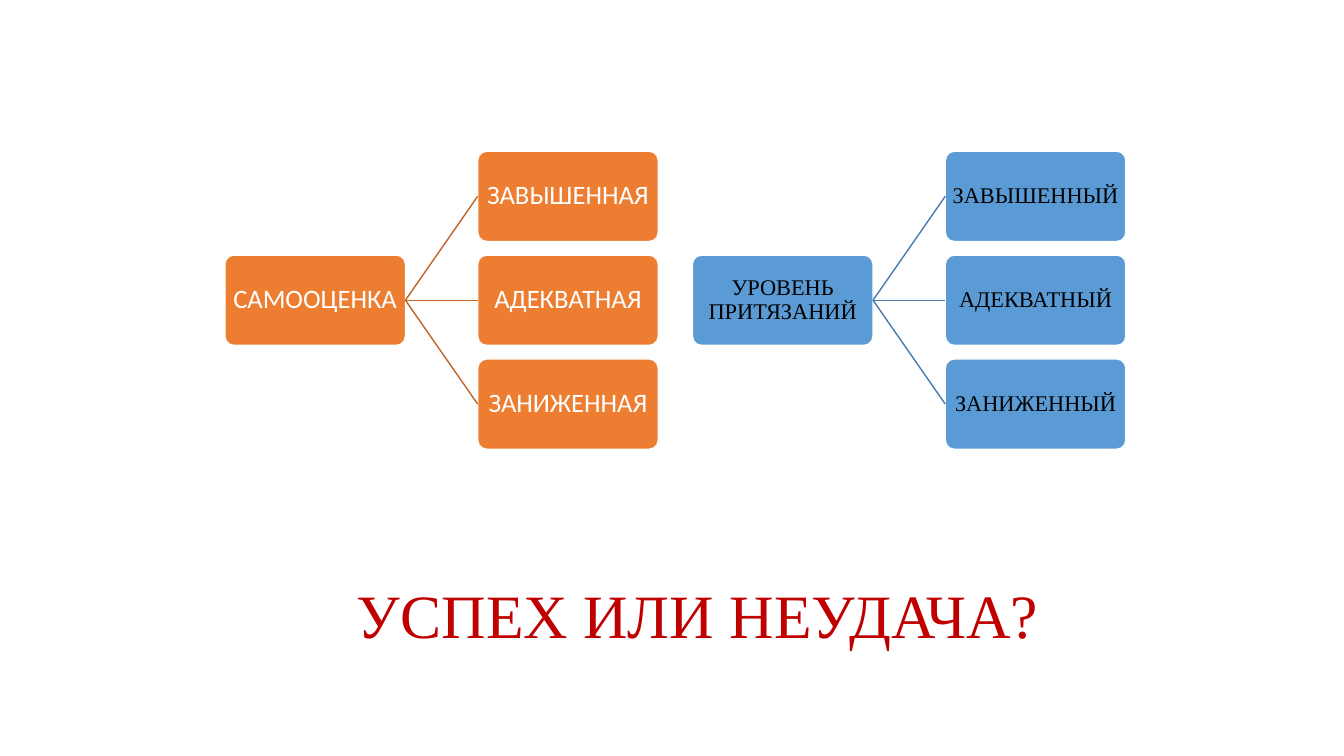
import pptx
import pptx.dml.color
import pptx.enum.shapes
import pptx.enum.text
import pptx.oxml.ns
import pptx.util

Pt = pptx.util.Pt
RGBColor = pptx.dml.color.RGBColor

WHITE = RGBColor(0xFF, 0xFF, 0xFF)
BLACK = RGBColor(0x00, 0x00, 0x00)
RED = RGBColor(0xC0, 0x00, 0x00)
ORANGE = RGBColor(0xED, 0x7D, 0x31)
DARK_ORANGE = RGBColor(0xBE, 0x64, 0x27)
BLUE = RGBColor(0x5B, 0x9B, 0xD5)
DARK_BLUE = RGBColor(0x49, 0x7C, 0xAB)

BOX_WIDTH, BOX_HEIGHT = 129, 64.5
COLUMN_STEP, ROW_STEP = 180.6, 74.2
TOP = 108
LEFT_SIDE, RIGHT_SIDE = 1, 3


class SlideBuilder:
    def __init__(self, slide):
        self.slide = slide
        self.set_style(WHITE, WHITE, BLACK, "Calibri", 19)

    def set_style(self, fill, line, text, font, size):
        self.fill, self.line, self.text = fill, line, text
        self.font, self.size = font, size

    def add_text(self, shape, text, inset):
        frame = shape.text_frame
        frame.word_wrap = True
        frame.auto_size = pptx.enum.text.MSO_AUTO_SIZE.NONE
        frame.vertical_anchor = pptx.enum.text.MSO_ANCHOR.MIDDLE
        frame.margin_left = frame.margin_right = Pt(inset)
        frame.margin_top = frame.margin_bottom = Pt(inset)
        paragraph = frame.paragraphs[0]
        paragraph.alignment = pptx.enum.text.PP_ALIGN.CENTER
        paragraph.line_spacing = 0.9
        run = paragraph.add_run()
        run.text = text
        run.font.name = self.font
        run.font.size = Pt(self.size)
        run.font.color.rgb = self.text

    def title(self, text, left, top, width, height):
        shape = self.slide.shapes.title
        shape.left, shape.top = Pt(left), Pt(top)
        shape.width, shape.height = Pt(width), Pt(height)
        self.add_text(shape, text, 3.6)

    def box(self, text, left, top):
        shape = self.slide.shapes.add_shape(
            pptx.enum.shapes.MSO_SHAPE.ROUNDED_RECTANGLE,
            Pt(left), Pt(top), Pt(BOX_WIDTH), Pt(BOX_HEIGHT))
        shape.adjustments[0] = 0.1
        shape.shadow.inherit = False
        shape.fill.solid()
        shape.fill.fore_color.rgb = self.fill
        shape.line.color.rgb = WHITE
        shape.line.width = Pt(1)
        self.add_text(shape, text, 0.8)
        return shape

    def link(self, parent, child):
        connector = self.slide.shapes.add_connector(
            pptx.enum.shapes.MSO_CONNECTOR.STRAIGHT, 0, 0, 0, 0)
        connector.begin_connect(parent, RIGHT_SIDE)
        connector.end_connect(child, LEFT_SIDE)
        connector.line.color.rgb = self.line
        connector.line.width = Pt(1)
        properties = connector.element.find(pptx.oxml.ns.qn("p:spPr"))
        properties.append(properties.makeelement(pptx.oxml.ns.qn("a:effectLst"), {}))

    def tree(self, left, root_text, child_texts):
        """Draw a root box linked to a column of boxes on its right."""
        root = self.box(root_text, left, TOP + ROW_STEP * (len(child_texts) - 1) / 2)
        for row, text in enumerate(child_texts):
            child = self.box(text, left + COLUMN_STEP, TOP + row * ROW_STEP)
            self.link(root, child)


def main():
    presentation = pptx.Presentation()
    presentation.slide_width, presentation.slide_height = Pt(960), Pt(540)
    slide = presentation.slides.add_slide(presentation.slide_layouts[5])
    builder = SlideBuilder(slide)

    builder.set_style(WHITE, WHITE, RED, "Times New Roman", 44)
    builder.title("УСПЕХ ИЛИ НЕУДАЧА?", 160, 408, 677, 68)

    builder.set_style(ORANGE, DARK_ORANGE, WHITE, "Calibri", 19)
    builder.tree(160.6, "САМООЦЕНКА", ["ЗАВЫШЕННАЯ", "АДЕКВАТНАЯ", "ЗАНИЖЕННАЯ"])

    builder.set_style(BLUE, DARK_BLUE, BLACK, "Times New Roman", 16)
    builder.tree(494.6, "УРОВЕНЬ ПРИТЯЗАНИЙ", ["ЗАВЫШЕННЫЙ", "АДЕКВАТНЫЙ", "ЗАНИЖЕННЫЙ"])

    presentation.save("out.pptx")


if __name__ == "__main__":
    main()
